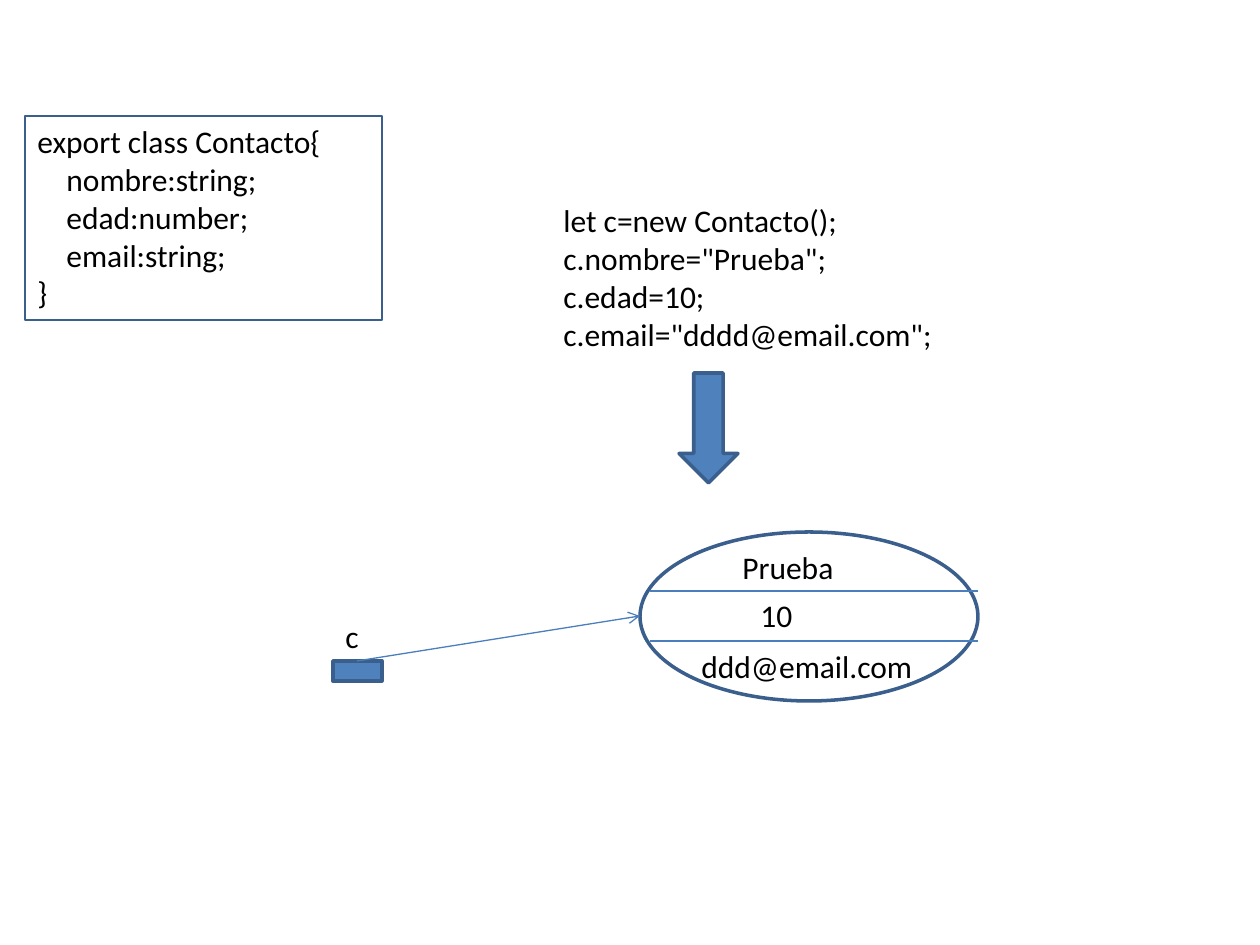
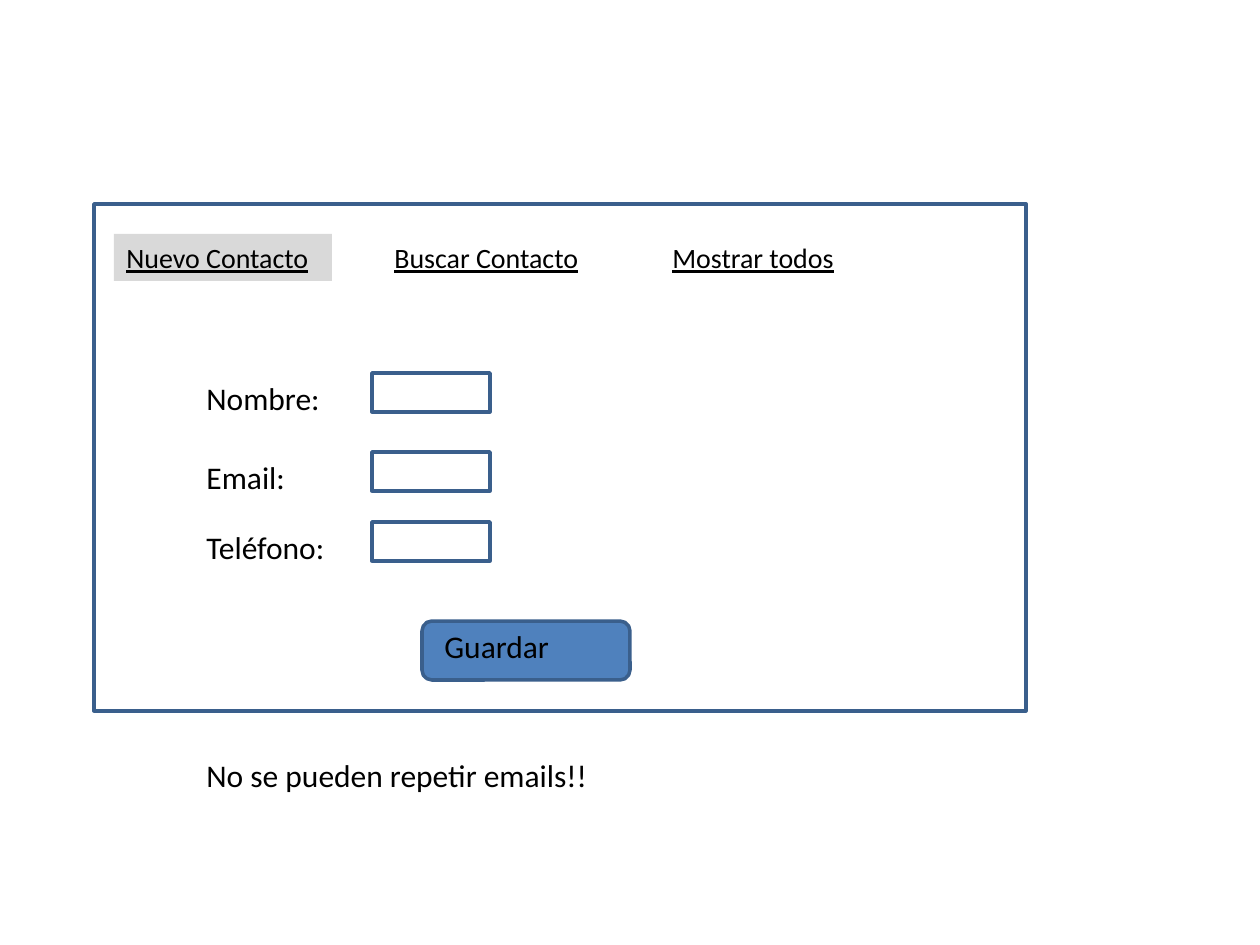
"""Build two slides: a class instance diagram and a contact form sketch."""
from lxml.etree import SubElement
from pptx import Presentation
from pptx.dml.color import RGBColor
from pptx.enum.shapes import MSO_CONNECTOR, MSO_SHAPE
from pptx.oxml.ns import qn
from pptx.util import Pt

PX = 914400 / 126
FONT = "Calibri"
COLORS = {"text": "000000", "fill": "4F81BD", "outline": "3A5F8C",
          "link": "4B7EBC", "active": "D9D9D9"}
LINE_HEIGHT = 50
CODE_INDENT = 29

CLASS_CODE = [("export class Contacto{", 0), ("nombre:string;", 1),
              ("edad:number;", 1), ("email:string;", 1), ("}", 0)]
USAGE_CODE = [("let c=new Contacto();", 0), ('c.nombre="Prueba";', 0),
              ("c.edad=10;", 0), ('c.email="dddd@email.com";', 0)]
OBJECT = (640, 532, 338, 169)
VARIABLE = (333, 661, 49, 20)
FIELD_VALUES = [("Prueba", 730, 542, 129), ("10", 748, 590, 59),
                ("ddd@email.com", 689, 641, 258)]
DIVIDERS = [591, 641]

FORM = (94, 204, 932, 507)
TABS = [("Nuevo Contacto", 114), ("Buscar Contacto", 382), ("Mostrar todos", 660)]
TAB_TOP, TAB_WIDTH, TAB_HEIGHT = 234, 218, 47
FIELDS = [("Nombre:", 373), ("Email:", 452), ("Teléfono:", 522)]
LABEL_LEFT, LABEL_WIDTH = 194, 169
INPUT_LEFT, INPUT_WIDTH, INPUT_HEIGHT = 372, 118, 39
BUTTON = (422, 621, 208, 59)
NOTE = "No se pueden repetir emails!!"


def emu(*lengths):
    return [round(length * PX) for length in lengths]


def color(name):
    return RGBColor.from_string(COLORS[name])


def add_box(slide, kind, box, fill=None, outline=2):
    shape = slide.shapes.add_shape(kind, *emu(*box))
    shape.shadow.inherit = False
    if fill:
        shape.fill.solid()
        shape.fill.fore_color.rgb = color(fill)
    else:
        shape.fill.background()
    if outline:
        shape.line.color.rgb = color("outline")
        shape.line.width = Pt(outline)
    else:
        shape.line.fill.background()
    return shape


def add_text(slide, box, lines, size=18, underline=None):
    if isinstance(lines, str):
        lines = [(lines, 0)]
    frame = slide.shapes.add_textbox(*emu(*box)).text_frame
    frame.word_wrap = True
    for index, (words, depth) in enumerate(lines):
        paragraph = frame.add_paragraph() if index else frame.paragraphs[0]
        paragraph.text = words
        paragraph.font.name = FONT
        paragraph.font.size = Pt(size)
        paragraph.font.underline = underline
        paragraph.font.color.rgb = color("text")
        if depth:
            paragraph._p.get_or_add_pPr().set("marL", str(emu(depth * CODE_INDENT)[0]))


def add_line(slide, start, end, arrow=False):
    line = slide.shapes.add_connector(MSO_CONNECTOR.STRAIGHT, *emu(*start, *end))
    line.line.color.rgb = color("link")
    line.line.width = Pt(0.75)
    if arrow:
        SubElement(line.line._get_or_add_ln(), qn("a:tailEnd"), type="arrow")
    SubElement(line._element.spPr, qn("a:effectLst"))


def build_instance_diagram(slide):
    class_box = (25, 116, 357, 204)
    add_box(slide, MSO_SHAPE.RECTANGLE, class_box, outline=0.75)
    add_text(slide, class_box, CLASS_CODE)
    add_text(slide, (551, 195, 456, 204), USAGE_CODE)
    add_box(slide, MSO_SHAPE.DOWN_ARROW, (679, 373, 59, 110), "fill")

    left, top, width, height = OBJECT
    add_box(slide, MSO_SHAPE.OVAL, OBJECT)
    variable_left, variable_top, variable_width, _ = VARIABLE
    add_text(slide, (variable_left, variable_top - LINE_HEIGHT, 159, LINE_HEIGHT), "c")
    add_box(slide, MSO_SHAPE.RECTANGLE, VARIABLE, "fill")
    add_line(slide, (variable_left + variable_width // 2, variable_top),
             (left, top + height // 2), arrow=True)
    for y in DIVIDERS:
        add_line(slide, (left + 10, y), (left + width, y))
    for value, x, y, value_width in FIELD_VALUES:
        add_text(slide, (x, y, value_width, LINE_HEIGHT), value)


def build_contact_form(slide):
    add_box(slide, MSO_SHAPE.RECTANGLE, FORM)
    for index, (tab, left) in enumerate(TABS):
        tab_box = (left, TAB_TOP, TAB_WIDTH, TAB_HEIGHT)
        if index == 0:
            add_box(slide, MSO_SHAPE.RECTANGLE, tab_box, "active", outline=None)
        add_text(slide, tab_box, tab, size=16, underline=True)
    for label, top in FIELDS:
        add_text(slide, (LABEL_LEFT, top, LABEL_WIDTH, LINE_HEIGHT), label)
        add_box(slide, MSO_SHAPE.RECTANGLE, (INPUT_LEFT, top, INPUT_WIDTH, INPUT_HEIGHT))
    add_box(slide, MSO_SHAPE.ROUNDED_RECTANGLE, BUTTON, "fill")
    add_text(slide, (BUTTON[0] + 10, BUTTON[1], 179, LINE_HEIGHT), "Guardar")
    add_text(slide, (LABEL_LEFT, 750, 566, LINE_HEIGHT), NOTE)


def main():
    deck = Presentation()
    deck.slide_width, deck.slide_height = emu(1260, 945)
    for build in (build_instance_diagram, build_contact_form):
        build(deck.slides.add_slide(deck.slide_layouts[6]))
    deck.save("out.pptx")


if __name__ == "__main__":
    main()
